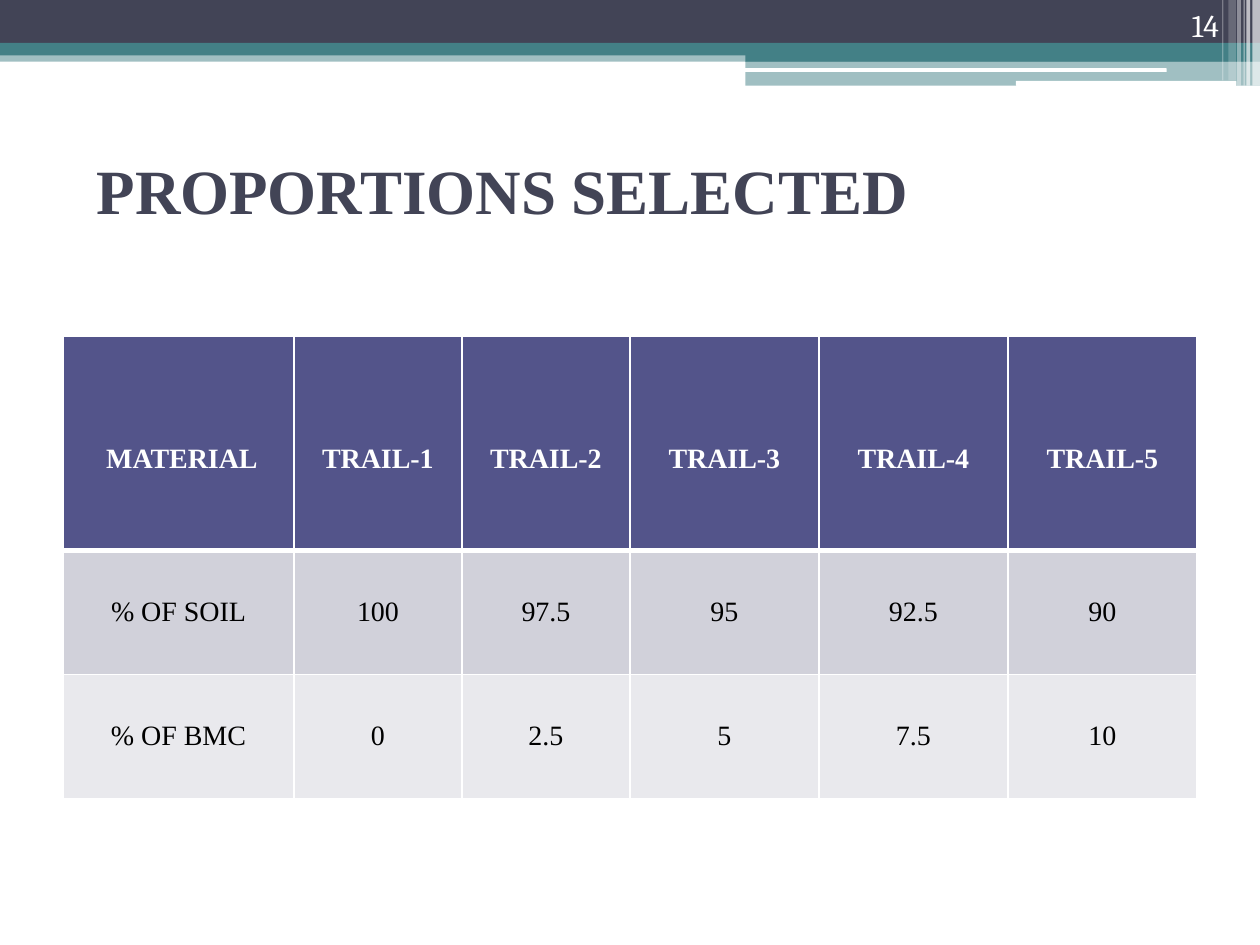
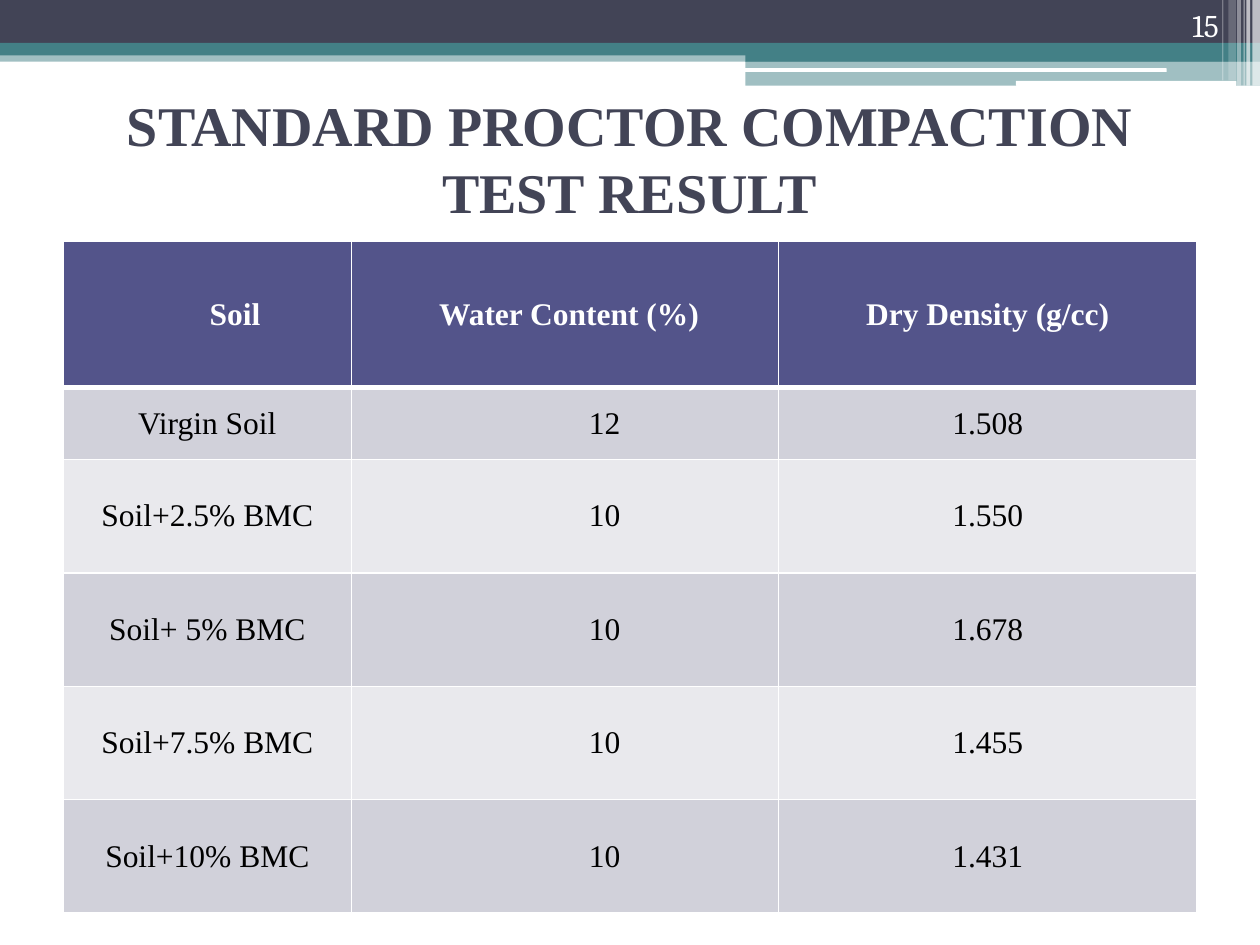
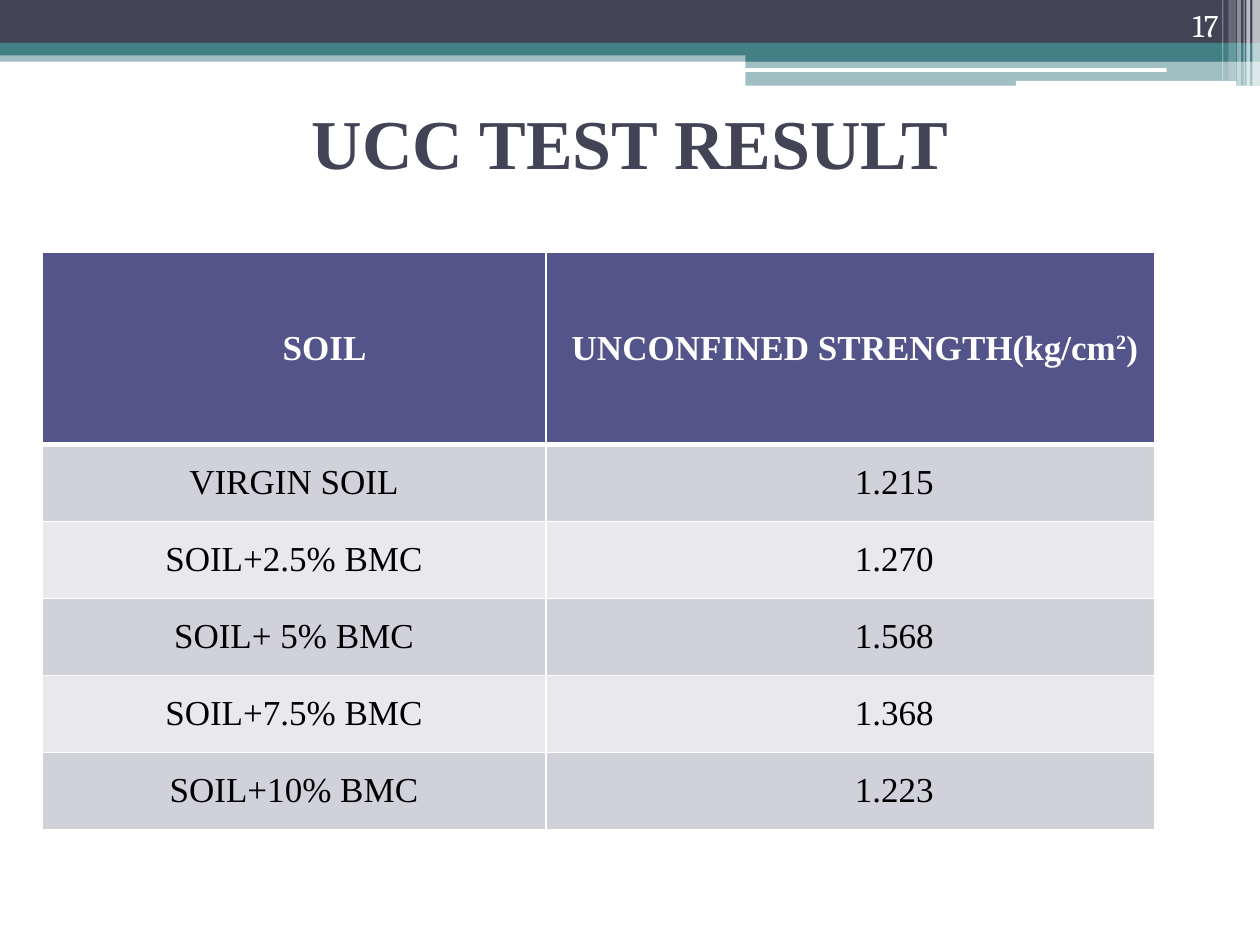
from lxml import etree
from pptx import Presentation
from pptx.dml.color import RGBColor
from pptx.enum.shapes import MSO_SHAPE
from pptx.enum.text import MSO_ANCHOR, MSO_AUTO_SIZE, PP_ALIGN
from pptx.oxml.ns import qn
from pptx.util import Pt

RECT, ROUND = MSO_SHAPE.RECTANGLE, MSO_SHAPE.ROUNDED_RECTANGLE
MIDDLE, BOTTOM = MSO_ANCHOR.MIDDLE, MSO_ANCHOR.BOTTOM
LEFT, CENTER, RIGHT = PP_ALIGN.LEFT, PP_ALIGN.CENTER, PP_ALIGN.RIGHT
FIXED = MSO_AUTO_SIZE.NONE

WHITE = RGBColor(0xFF, 0xFF, 0xFF)
BLACK = RGBColor(0x00, 0x00, 0x00)
NAVY = RGBColor(0x42, 0x44, 0x56)
TEAL = RGBColor(0x43, 0x80, 0x86)
INDIGO = RGBColor(0x53, 0x54, 0x8A)
DARK = RGBColor(0xD1, 0xD1, 0xDA)
LIGHT = RGBColor(0xE9, 0xE9, 0xED)
SERIF, DIGIT = "Times New Roman", "Cambria"
WIDE, HIGH = 720, 540
PAD = 7.2

BANDS = [
    (RECT, 0, 28.8, 720, 6.5, TEAL, 50),
    (RECT, 0, 0, 720, 24.5, NAVY, 100),
    (RECT, 0, 24.5, 720, 7.2, TEAL, 100),
    (RECT, 426, 28, 294, 7.2, TEAL, 100),
    (RECT, 426, 35, 294, 14, TEAL, 50),
    (ROUND, 425.5, 39, 241.2, 2.16, WHITE, 100),
    (ROUND, 580.5, 46.2, 126, 2.88, WHITE, 100),
    (RECT, 715.7, 0, 4.3, 49, WHITE, 65),
    (RECT, 712.2, 0, 2.16, 49, WHITE, 65),
    (RECT, 710.6, 0, 0.72, 49, WHITE, 60),
    (RECT, 707, 0, 2.16, 49, WHITE, 40),
    (RECT, 702, 0, 4.3, 46, WHITE, 20),
    (RECT, 698.4, 0, 0.72, 46, WHITE, 30),
]

SLIDES = [
    dict(
        page="14", title="PROPORTIONS SELECTED", size=36, align=LEFT,
        head=(48, 66, 648, 84), spot=(36, 192), font=16,
        cols=[132, 96, 96, 108, 108, 108], rows=[122.4, 70.9, 70.9],
        drop=18.4, lead=[4, 0, 0, 0, 0, 0], shift=[0, 0, 0, 0, 0, 0],
        data=[
            ["MATERIAL", "TRAIL-1", "TRAIL-2", "TRAIL-3", "TRAIL-4", "TRAIL-5"],
            ["% OF SOIL", "100", "97.5", "95", "92.5", "90"],
            ["% OF BMC", "0", "2.5", "5", "7.5", "10"],
        ],
    ),
    dict(
        page="15", title="STANDARD PROCTOR COMPACTION TEST RESULT", size=32,
        align=CENTER, head=(36, 54, 648, 72), spot=(36, 138), font=18,
        cols=[165, 244, 239], rows=[83.6, 41] + [64.8] * 4,
        drop=0, lead=[31.5, 4.5, 0], shift=[0, 45, 0],
        data=[
            ["Soil", "Water Content (%)", "Dry Density (g/cc)"],
            ["Virgin Soil", "12", "1.508"],
            ["Soil+2.5% BMC", "10", "1.550"],
            ["Soil+ 5% BMC", "10", "1.678"],
            ["Soil+7.5% BMC", "10", "1.455"],
            ["Soil+10% BMC", "10", "1.431"],
        ],
    ),
    dict(
        page="17", title="UCC TEST RESULT", size=40, align=CENTER,
        head=(36, 48, 648, 66), spot=(24, 144), font=20,
        cols=[288, 348], rows=[110] + [44] * 5,
        drop=0, lead=[35, 5], shift=[0, 50],
        data=[
            ["SOIL", "UNCONFINED STRENGTH(kg/cm^2^)"],
            ["VIRGIN SOIL", "1.215"],
            ["SOIL+2.5% BMC", "1.270"],
            ["SOIL+ 5% BMC", "1.568"],
            ["SOIL+7.5% BMC", "1.368"],
            ["SOIL+10% BMC", "1.223"],
        ],
    ),
]


def style(para, face, size, color, bold, align):
    """Format every run of a paragraph."""
    para.alignment = align
    for run in para.runs:
        font = run.font
        font.name, font.size, font.bold = face, Pt(size), bold
        font.color.rgb = color


def place(shape, box):
    """Move a shape to a box of left, top, width and height."""
    shape.left, shape.top, shape.width, shape.height = map(Pt, box)


def add_bands(slide, master, left, top):
    """Draw the top bands and hand them to the master all slides share."""
    for num, (kind, x, y, wide, high, color, alpha) in enumerate(BANDS, 100):
        band = slide.shapes.add_shape(
            kind, Pt(left + x), Pt(top + y), Pt(wide), Pt(high))
        band.shadow.inherit = False
        band.line.fill.background()
        band.fill.solid()
        band.fill.fore_color.rgb = color
        node = band.element
        if alpha < 100:
            tone = node.xpath(".//a:srgbClr")[0]
            etree.SubElement(tone, qn("a:alpha"), val=str(alpha * 1000))
        node.xpath("./p:nvSpPr/p:cNvPr")[0].set("id", str(num))
        master.shapes.element.append(node)


def add_title(slide, text, size, align, box):
    """Fill the title placeholder."""
    title = slide.shapes.title
    place(title, box)
    frame = title.text_frame
    frame.text = text
    frame.auto_size, frame.word_wrap = FIXED, True
    frame.vertical_anchor = MIDDLE
    style(frame.paragraphs[0], SERIF, size, NAVY, True, align)


def add_page(slide, text, box):
    """Write the page number in the top band."""
    frame = slide.shapes.add_textbox(*map(Pt, box)).text_frame
    frame.text = text
    frame.word_wrap = True
    frame.vertical_anchor = BOTTOM
    style(frame.paragraphs[0], DIGIT, 18, WHITE, False, RIGHT)


def add_edges(cell, row):
    """Rule a cell in white, thick between the heading and the body."""
    widths = dict(L=1, R=1, T=3 if row == 1 else 1, B=3 if row == 0 else 1)
    props = cell._tc.get_or_add_tcPr()
    for side, width in widths.items():
        line = etree.SubElement(props, qn("a:ln" + side), w=str(Pt(width)))
        fill = etree.SubElement(line, qn("a:solidFill"))
        etree.SubElement(fill, qn("a:srgbClr"), val=str(WHITE))


def fill_cell(cell, text, row, size):
    """Write a cell, raising the parts between carets, and colour it."""
    para = cell.text_frame.paragraphs[0]
    for num, part in enumerate(text.split("^")):
        run = para.add_run()
        run.text = part
        if num % 2:
            run._r.get_or_add_rPr().set("baseline", "30000")
    first = row == 0
    style(para, SERIF, size, WHITE if first else BLACK, first, CENTER)
    add_edges(cell, row)
    cell.fill.solid()
    cell.fill.fore_color.rgb = INDIGO if first else DARK if row % 2 else LIGHT
    cell.vertical_anchor = MIDDLE


def add_grid(slide, item):
    """Build the table of results."""
    data, cols, rows = item["data"], item["cols"], item["rows"]
    box = (*item["spot"], sum(cols), sum(rows))
    table = slide.shapes.add_table(
        len(rows), len(cols), *map(Pt, box)).table
    for col, wide in zip(table.columns, cols):
        col.width = Pt(wide)
    for row, high in zip(table.rows, rows):
        row.height = Pt(high)
    for r, line in enumerate(data):
        gaps = item["shift"] if r else item["lead"]
        for c, text in enumerate(line):
            cell = table.cell(r, c)
            fill_cell(cell, text, r, item["font"])
            cell.margin_left = Pt(PAD + gaps[c])
            cell.margin_top = Pt(PAD / 2 + (0 if r else item["drop"]))


def main():
    """Build and save the deck."""
    deck = Presentation()
    deck.slide_width, deck.slide_height = Pt(WIDE), Pt(HIGH)
    layout = deck.slide_layouts[5]
    for num, item in enumerate(SLIDES):
        slide = deck.slides.add_slide(layout)
        if num == 0:
            add_bands(slide, deck.slide_master, 0, 0)
        add_title(slide, item["title"], item["size"], item["align"], item["head"])
        add_grid(slide, item)
        add_page(slide, item["page"], (643.5, 0, 60, 28.8))
    deck.save("out.pptx")


if __name__ == "__main__":
    main()
